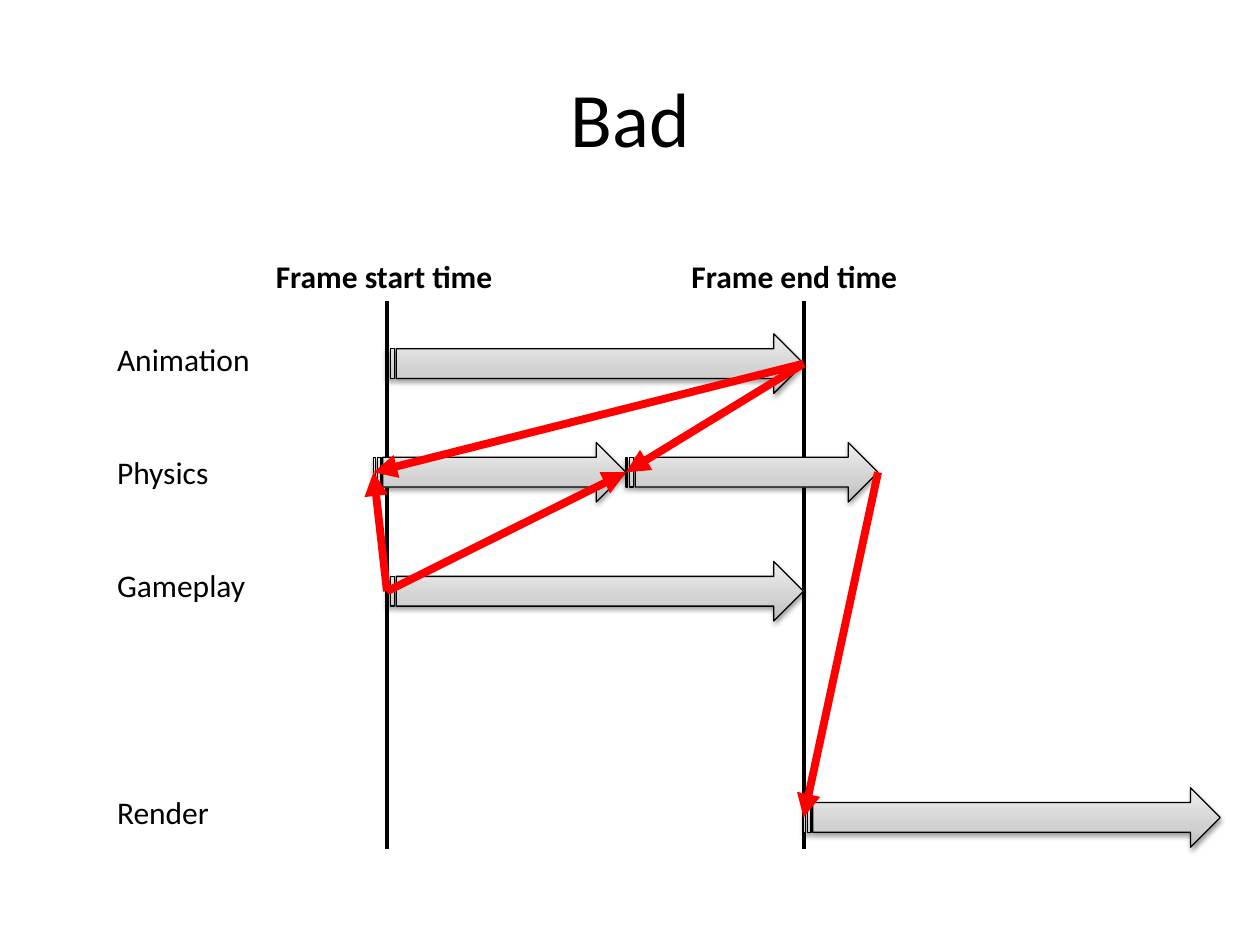
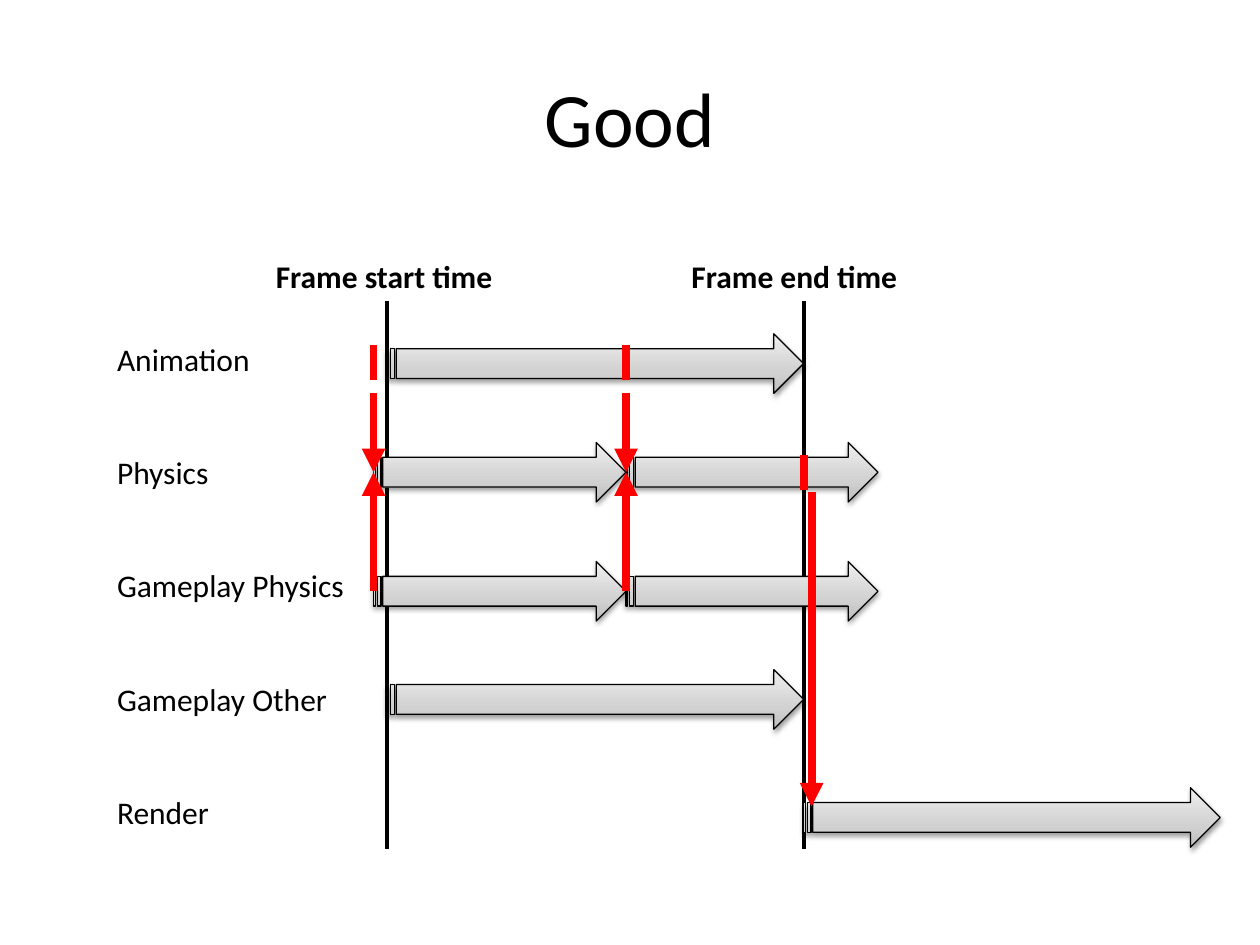
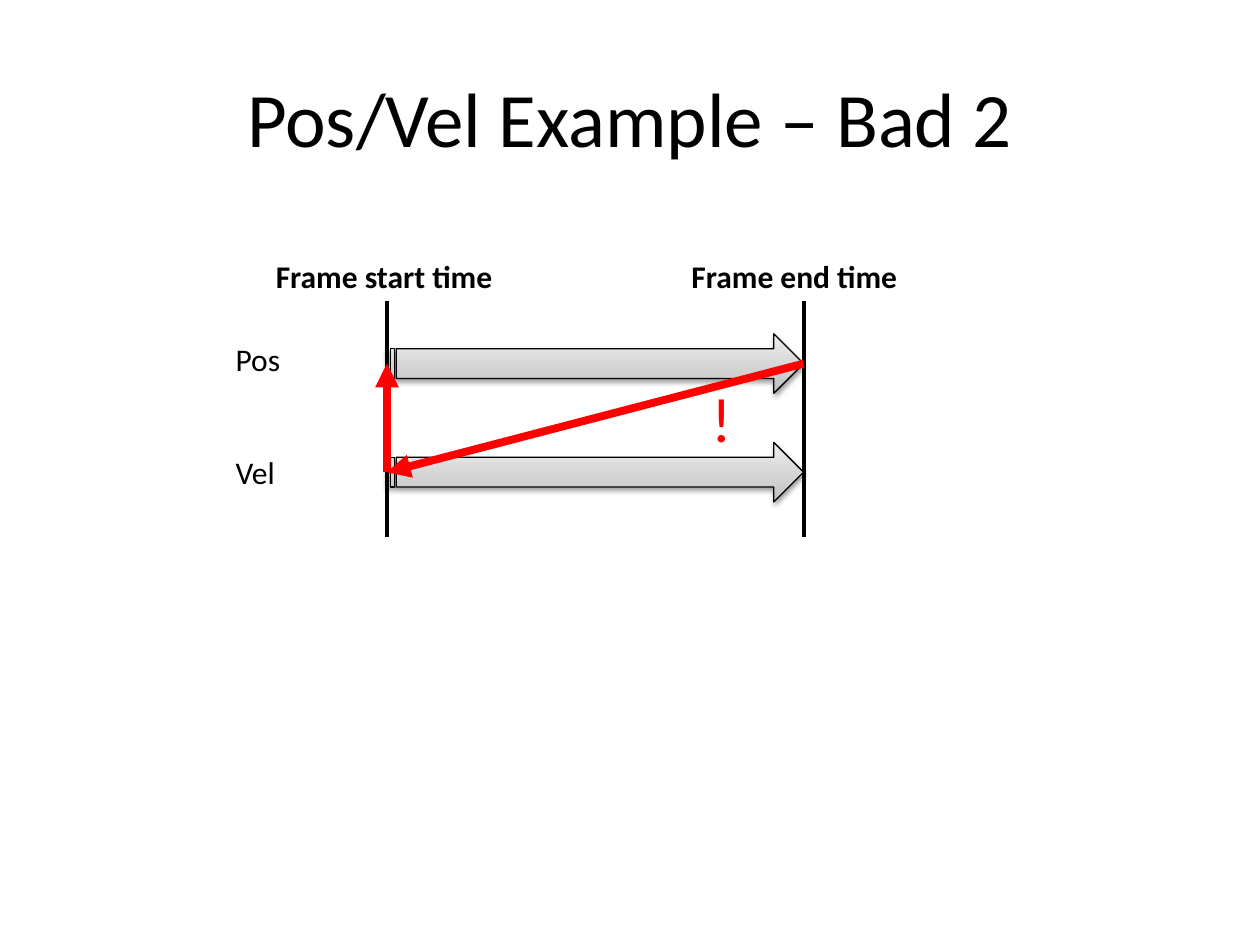
"""Three slides of frame timelines: lanes of work and the data links between them."""
from copy import deepcopy
from dataclasses import dataclass

from lxml import etree
from pptx import Presentation
from pptx.dml.color import RGBColor
from pptx.enum.shapes import MSO_CONNECTOR, MSO_SHAPE
from pptx.enum.text import MSO_ANCHOR, MSO_AUTO_SIZE, PP_ALIGN
from pptx.oxml.ns import qn
from pptx.util import Cm, Pt

BLACK = RGBColor(0x00, 0x00, 0x00)
RED = RGBColor(0xFF, 0x00, 0x00)
BAR_GRADIENT = [
    (0.0, RGBColor(0xBD, 0xBD, 0xBD)),
    (0.35, RGBColor(0xD1, 0xD1, 0xD1)),
    (1.0, RGBColor(0xEE, 0xEE, 0xEE)),
]
FONT = "Calibri"

# Times across the slide, in cm
FRAME_START, FRAME_END, RENDER_END = 7.8, 16.2, 24.6
STEP_START, STEP_MIDDLE, STEP_END = 7.53, 12.62, 17.7

# Centre lines of the lanes, in cm
LANE_1, LANE_2, LANE_3, LANE_4, LANE_5 = 7.33, 9.52, 11.92, 14.1, 16.48
BAR_HEIGHT = 1.2
FRAME_LINE_TOP = 6.07
LANE_TEXT_TOP = 6.73
LANE_PITCH = 64.7   # points from one lane name to the next
TEXT_LINE = 21.6    # points taken by one line of a lane name


@dataclass(frozen=True)
class Bar:
    """A striped arrow for work running from one time to another."""
    start: float
    end: float
    lane: float


@dataclass(frozen=True)
class Link:
    """A red line between two points, with an arrowhead at its end."""
    x1: float
    y1: float
    x2: float
    y2: float
    arrow: bool = True


@dataclass(frozen=True)
class LaneName:
    """A lane name and how many lanes it stands below the one before."""
    text: str
    lanes_down: int = 1


@dataclass(frozen=True)
class Timeline:
    """Everything that differs between slides."""
    title: str
    names: list[LaneName]
    bars: list[Bar]
    links: list[Link]
    names_left: float = 2.11
    names_width: float = 5.2
    frame_line_bottom: float = 17.12
    warning: bool = False


def format_text(paragraph, size: float, color: RGBColor = BLACK, bold: bool = False) -> None:
    """Set the font of a paragraph."""
    font = paragraph.font
    font.name, font.size, font.bold = FONT, Pt(size), bold
    font.color.rgb = color


def add_text(slide, left: float, top: float, width: float, height: float, text: str,
             size: float = 18, color: RGBColor = BLACK, bold: bool = False):
    """Add a wrapping text box, one paragraph per line, and return its frame."""
    box = slide.shapes.add_textbox(Cm(left), Cm(top), Cm(width), Cm(height))
    frame = box.text_frame
    frame.word_wrap = True
    frame.auto_size = MSO_AUTO_SIZE.SHAPE_TO_FIT_TEXT
    frame.text = text
    for paragraph in frame.paragraphs:
        format_text(paragraph, size, color, bold)
    return frame


def add_line(slide, link: Link, color: RGBColor, width: float) -> None:
    """Draw a straight line without a shadow."""
    line = slide.shapes.add_connector(
        MSO_CONNECTOR.STRAIGHT, Cm(link.x1), Cm(link.y1), Cm(link.x2), Cm(link.y2))
    line.line.color.rgb = color
    line.line.width = Pt(width)
    properties = line._element.spPr
    if link.arrow:
        etree.SubElement(properties.find(qn("a:ln")), qn("a:tailEnd"), type="triangle")
    etree.SubElement(properties, qn("a:effectLst"))


def add_bar(slide, bar: Bar) -> None:
    """Draw a grey striped arrow with a soft shadow."""
    shape = slide.shapes.add_shape(
        MSO_SHAPE.STRIPED_RIGHT_ARROW, Cm(bar.start), Cm(bar.lane - BAR_HEIGHT / 2),
        Cm(bar.end - bar.start), Cm(BAR_HEIGHT))
    shape.line.color.rgb = BLACK
    shape.line.width = Pt(0.75)
    shape.fill.gradient()
    shape.fill.gradient_angle = 90
    properties = shape._element.spPr
    stops = properties.find(qn("a:gradFill")).find(qn("a:gsLst"))
    stops.append(deepcopy(stops[0]))
    for stop, (position, color) in zip(shape.fill.gradient_stops, BAR_GRADIENT):
        stop.position = position
        stop.color.rgb = color
    shape.shadow.inherit = False
    shadow = etree.SubElement(
        properties.find(qn("a:effectLst")), qn("a:outerShdw"),
        blurRad="40000", dist="20000", dir="5400000", rotWithShape="0")
    shade = etree.SubElement(shadow, qn("a:srgbClr"), val=str(BLACK))
    etree.SubElement(shade, qn("a:alpha"), val="38000")


def add_title(slide, text: str) -> None:
    """Place and format the title."""
    title = slide.shapes.title
    title.left, title.top, title.width, title.height = Cm(1.27), Cm(0.76), Cm(22.86), Cm(3.18)
    title.text_frame.text = text
    title.text_frame.vertical_anchor = MSO_ANCHOR.MIDDLE
    paragraph = title.text_frame.paragraphs[0]
    paragraph.alignment = PP_ALIGN.CENTER
    format_text(paragraph, 44)


def add_timeline(deck, timeline: Timeline) -> None:
    """Add a slide with frame limits, lane names, bars and links."""
    slide = deck.slides.add_slide(deck.slide_layouts.get_by_name("Title Only"))
    add_title(slide, timeline.title)

    for text, left, time in (("Frame start time", 5.31, FRAME_START),
                             ("Frame end time", 13.69, FRAME_END)):
        add_text(slide, left, 5.05, 5, 1.02, text, bold=True)
        limit = Link(time, FRAME_LINE_TOP, time, timeline.frame_line_bottom, arrow=False)
        add_line(slide, limit, BLACK, 2.25)

    names = timeline.names
    height = timeline.frame_line_bottom - LANE_TEXT_TOP
    frame = add_text(slide, timeline.names_left, LANE_TEXT_TOP, timeline.names_width, height,
                     "\n".join(name.text for name in names))
    for paragraph, name in list(zip(frame.paragraphs, names))[1:]:
        paragraph.space_before = Pt(name.lanes_down * LANE_PITCH - TEXT_LINE)

    for bar in timeline.bars:
        add_bar(slide, bar)
    for link in timeline.links:
        add_line(slide, link, RED, 4.5)
    if timeline.warning:
        add_text(slide, 14.1, 7.52, 1, 1.8, "!", size=36, color=RED)


def frame_bar(lane: float) -> Bar:
    """Return a bar that fills the frame."""
    return Bar(FRAME_START, FRAME_END, lane)


def step_bars(lane: float) -> list[Bar]:
    """Return the two fixed steps of a lane."""
    return [Bar(STEP_START, STEP_MIDDLE, lane), Bar(STEP_MIDDLE, STEP_END, lane)]


RENDER_BAR = Bar(FRAME_END, RENDER_END, LANE_5)
STEP_TIMES = (STEP_START, STEP_MIDDLE)

TIMELINES = [
    Timeline(
        "Bad",
        [LaneName("Animation"), LaneName("Physics"), LaneName("Gameplay"),
         LaneName("Render", lanes_down=2)],
        [frame_bar(LANE_1), *step_bars(LANE_2), frame_bar(LANE_3), RENDER_BAR],
        [*(Link(FRAME_END, LANE_1, time, LANE_2) for time in STEP_TIMES),
         *(Link(FRAME_START, LANE_3, time, LANE_2) for time in STEP_TIMES),
         Link(STEP_END, LANE_2, FRAME_END, LANE_5)],
    ),
    Timeline(
        "Good",
        [LaneName("Animation"), LaneName("Physics"), LaneName("Gameplay Physics"),
         LaneName("Gameplay Other"), LaneName("Render")],
        [frame_bar(LANE_1), *step_bars(LANE_2), *step_bars(LANE_3), frame_bar(LANE_4),
         RENDER_BAR],
        [*(Link(time, 7.92, time, LANE_2) for time in STEP_TIMES),
         *(Link(time, 7.67, time, 6.96, arrow=False) for time in STEP_TIMES),
         *(Link(time, LANE_3, time, LANE_2) for time in STEP_TIMES),
         Link(FRAME_END, 9.88, FRAME_END, 9.17, arrow=False),
         Link(16.36, 9.91, 16.36, 16.26)],
    ),
    Timeline(
        "Pos/Vel Example – Bad 2",
        [LaneName("Pos"), LaneName("Vel")],
        [frame_bar(LANE_1), frame_bar(LANE_2)],
        [Link(FRAME_END, LANE_1, FRAME_START, LANE_2),
         Link(FRAME_START, LANE_2, FRAME_START, LANE_1)],
        names_left=4.5, names_width=3, frame_line_bottom=10.82, warning=True,
    ),
]


def main() -> None:
    """Build and save the deck."""
    deck = Presentation()
    deck.slide_width, deck.slide_height = Cm(25.4), Cm(19.05)
    for timeline in TIMELINES:
        add_timeline(deck, timeline)
    deck.save("out.pptx")


main()
